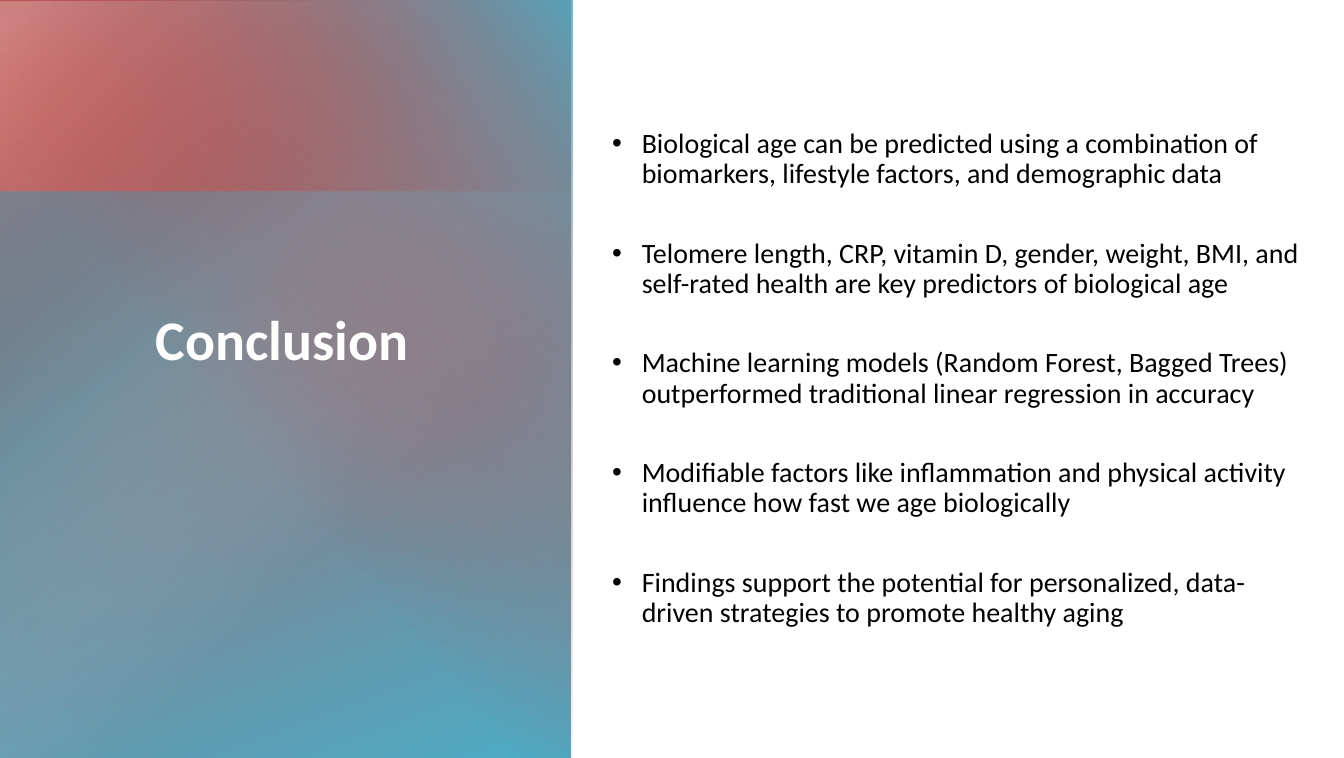
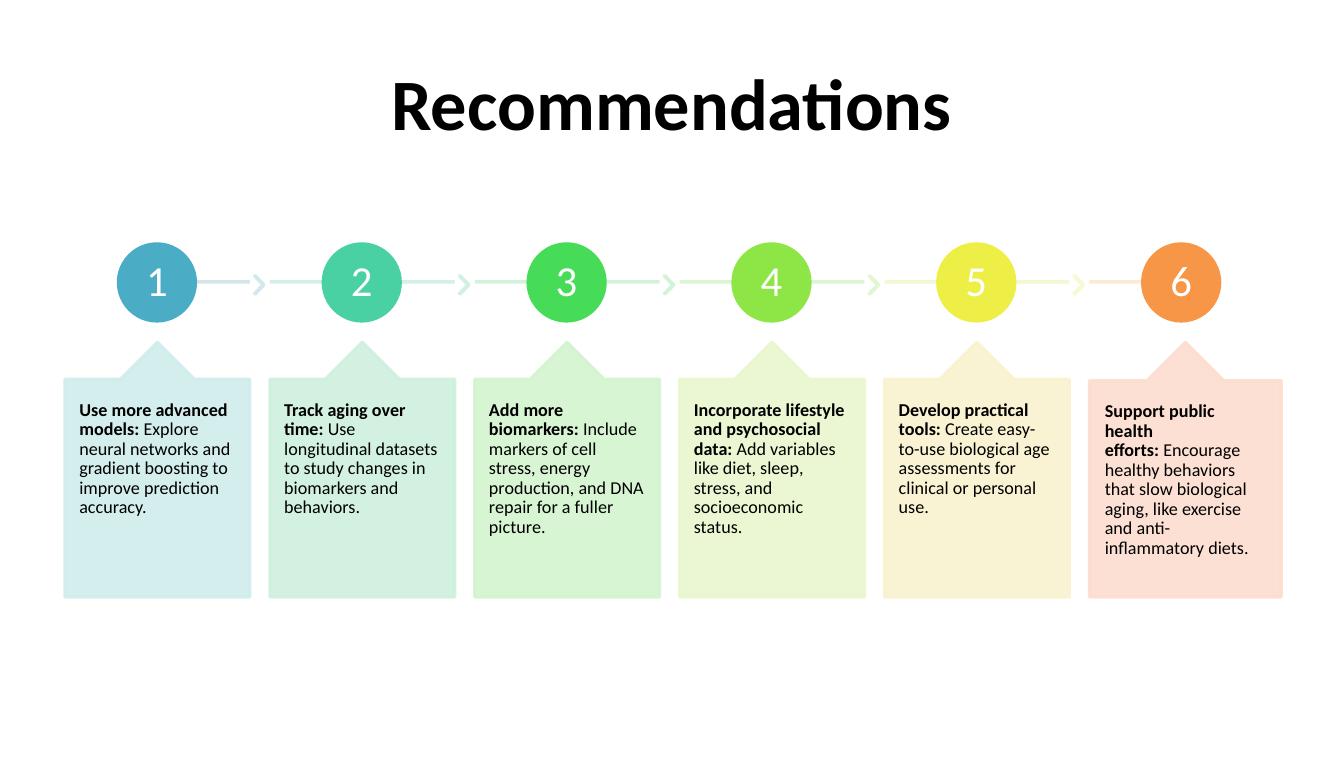
from collections import namedtuple
from dataclasses import dataclass

from lxml.etree import SubElement
from pptx import Presentation
from pptx.dml.color import RGBColor
from pptx.enum.shapes import MSO_CONNECTOR, MSO_SHAPE
from pptx.enum.text import MSO_ANCHOR, MSO_AUTO_SIZE, PP_ALIGN
from pptx.oxml import parse_xml
from pptx.oxml.ns import nsdecls, qn
from pptx.util import Emu, Pt

PX = 9144
NBSP = chr(160)

Box = namedtuple("Box", "left top width height")
Layer = namedtuple("Layer", "box rotation stops direction")
Step = namedtuple("Step", "heading detail circle link chevron card")


@dataclass(frozen=True)
class Theme:
    """Colours and type sizes shared by the slides."""
    font: str = "Calibri"
    ink: str = "000000"
    paper: str = "FFFFFF"
    side_title: int = 34
    top_title: int = 44
    bullet: int = 17
    number: int = 26
    card: int = 11
    stroke: int = 2
    pale: int = 90
    leading: float = 0.9


THEME = Theme()
PAGE = Box(0, 0, 1135, 640)

LAYERS = [
    Layer(Box(-2, 0, 484, 643), 0,
          [(7, "C0504D", 100), (100, "4BACC6", 100)], 70),
    Layer(Box(-2, 162, 484, 480), 180,
          [(0, "31859C", 100), (60, "93CDDD", 0)], None),
    Layer(Box(-2, 1, 357, 642), 0,
          [(3, "D99694", 78), (42, "C0504D", 0)], 50),
    Layer(Box(-80, 79, 642, 484), 270,
          [(0, "4BACC6", 86), (57, "C0504D", 0)], 230),
]

CONCLUSIONS = [
    "Biological age can be predicted using a combination of biomarkers, "
    "lifestyle factors, and demographic data",
    "Telomere length, CRP, vitamin D, gender, weight, BMI, and self-rated "
    "health are key predictors of biological age",
    "Machine learning models (Random Forest, Bagged Trees) outperformed "
    "traditional linear regression in accuracy",
    "Modifiable factors like inflammation and physical activity influence "
    "how fast we age biologically",
    "Findings support the potential for personalized, data-driven strategies "
    "to promote healthy aging",
]

STEPS = [
    Step("Use more advanced models:",
         "Explore neural networks and gradient boosting to improve "
         "prediction accuracy.",
         "4BACC6", "D0E3EA", "CFE8EC", "CFEDEB"),
    Step("Track aging over time:",
         "Use longitudinal datasets to study changes in biomarkers and "
         "behaviors.",
         "49D1A3", "CFEEE7", "CFEFE2", "CFF0DD"),
    Step("Add more biomarkers:",
         "Include markers of cell stress, energy production, and DNA repair "
         "for a fuller picture.",
         "47DC57", "CFF1D7", "CFF3D1", "D3F4CE"),
    Step("Incorporate lifestyle and psychosocial data:",
         "Add variables like diet, sleep, stress, and socioeconomic status.",
         "8DE646", "D9F5CE", "E1F6CE", "E8F7CE"),
    Step("Develop practical tools:",
         "Create easy-to-use biological age assessments for clinical or "
         "personal use.",
         "EEEF46", "F0F8CE", "F8F8CF", "F9F2CF"),
    Step("Support public health efforts:",
         "Encourage healthy behaviors that slow biological aging, like "
         "exercise and anti-inflammatory diets.",
         "F79646", "FAEBCF", None, "FCDDCF"),
]


def px(length):
    """Turn pixels into EMU."""
    return Emu(round(length * PX))


def emu_box(box):
    """Turn a pixel box into EMU lengths."""
    return [px(length) for length in box]


def paint(fill, color, alpha=100):
    """Give a fill a solid colour with optional transparency."""
    fill.solid()
    fill.fore_color.rgb = RGBColor.from_string(color)
    if alpha < 100:
        rgb = fill._xPr.find(qn("a:solidFill")).find(qn("a:srgbClr"))
        SubElement(rgb, qn("a:alpha"), val=str(alpha * 1000))


def paint_gradient(shape, stops, direction):
    """Fill a shape with a linear gradient, or a radial one without direction."""
    marks = "".join(
        f'<a:gs pos="{pos * 1000}"><a:srgbClr val="{color}">'
        f'<a:alpha val="{alpha * 1000}"/></a:srgbClr></a:gs>'
        for pos, color, alpha in stops)
    if direction is None:
        course = ('<a:path path="circle">'
                  '<a:fillToRect r="100000" b="100000"/></a:path>')
    else:
        course = f'<a:lin ang="{direction * 60000}" scaled="0"/>'
    shape.fill.background()
    properties = shape._element.spPr
    properties.replace(
        properties.find(qn("a:noFill")),
        parse_xml(f'<a:gradFill {nsdecls("a")} rotWithShape="1">'
                  f'<a:gsLst>{marks}</a:gsLst>{course}</a:gradFill>'))


def style(paragraph, size, color=THEME.ink, bold=None, align=PP_ALIGN.LEFT):
    """Set the font, leading and alignment of a paragraph."""
    paragraph.alignment = align
    paragraph.line_spacing = THEME.leading
    paragraph.font.name = THEME.font
    paragraph.font.size = Pt(size)
    paragraph.font.bold = bold
    paragraph.font.color.rgb = RGBColor.from_string(color)


def place(placeholder, box, anchor):
    """Move a placeholder to a box and return its text frame."""
    (placeholder.left, placeholder.top,
     placeholder.width, placeholder.height) = emu_box(box)
    frame = placeholder.text_frame
    frame.auto_size = MSO_AUTO_SIZE.NONE
    frame.word_wrap = True
    frame.vertical_anchor = anchor
    return frame


def add_title(slide, text, box, anchor, size, color, align):
    """Write the slide title in its placeholder."""
    frame = place(slide.shapes.title, box, anchor)
    frame.text = text
    style(frame.paragraphs[0], size, color, True, align)


def add_preset(slide, preset, box, color, alpha=100):
    """Add a preset shape whose fill and outline share one colour."""
    shape = slide.shapes.add_shape(preset, *emu_box(box))
    shape.shadow.inherit = False
    paint(shape.fill, color, alpha)
    paint(shape.line.fill, color, alpha)
    shape.line.width = Pt(THEME.stroke)
    return shape


def inset(frame, across, down):
    """Set the margins of a text frame."""
    frame.word_wrap = True
    frame.margin_left = frame.margin_right = px(across)
    frame.margin_top = frame.margin_bottom = px(down)


def add_panel(slide):
    """Stack the gradient layers behind the title."""
    panel = slide.shapes.add_group_shape()
    for layer in LAYERS:
        sheet = panel.shapes.add_shape(MSO_SHAPE.RECTANGLE, *emu_box(layer.box))
        sheet.shadow.inherit = False
        sheet.line.fill.background()
        sheet.rotation = layer.rotation
        paint_gradient(sheet, layer.stops, layer.direction)
    slide.shapes._spTree.insert(2, panel._element)


def add_bullets(slide, box, items):
    """Write the bulleted list in the body placeholder."""
    frame = place(slide.placeholders[1], box, MSO_ANCHOR.MIDDLE)
    for index, item in enumerate(items):
        paragraph = frame.add_paragraph() if index else frame.paragraphs[0]
        paragraph.text = item
        properties = paragraph._p.get_or_add_pPr()
        properties.set("marL", str(px(31)))
        properties.set("indent", str(px(-25)))
        SubElement(properties, qn("a:buChar"), char="•")
        style(paragraph, THEME.bullet)
        paragraph.space_before = Pt(30 if index else 0)


def add_link(slide, left, right, middle, color):
    """Draw the pale line that runs behind a circle."""
    link = slide.shapes.add_connector(
        MSO_CONNECTOR.STRAIGHT, px(left), px(middle), px(right), px(middle))
    paint(link.line.fill, color, THEME.pale)
    link.line.width = Pt(THEME.stroke)
    SubElement(link._element.spPr, qn("a:effectLst"))


def add_circle(slide, box, number, color):
    """Draw a numbered circle."""
    circle = add_preset(slide, MSO_SHAPE.OVAL, box, color)
    frame = circle.text_frame
    inset(frame, 3, 3)
    frame.vertical_anchor = MSO_ANCHOR.MIDDLE
    frame.text = str(number)
    style(frame.paragraphs[0], THEME.number, THEME.paper, align=PP_ALIGN.CENTER)


def add_card(slide, box, step):
    """Draw a callout card with a bold heading and its detail."""
    card = add_preset(slide, MSO_SHAPE.UP_ARROW_CALLOUT, box, step.card, THEME.pale)
    for index, share in enumerate((0.5, 0.2, 0.2, 1)):
        card.adjustments[index] = share
    frame = card.text_frame
    inset(frame, round(box.width * 0.08), 18)
    frame.vertical_anchor = MSO_ANCHOR.TOP
    paragraph = frame.paragraphs[0]
    style(paragraph, THEME.card)
    paragraph.add_run().text = step.heading
    paragraph.add_run().text = NBSP + step.detail
    paragraph.runs[0].font.bold = True


def add_step(slide, box, number, step):
    """Place the link, chevron, circle and card of one step."""
    left, top, width, height = box
    first, last = number == 1, number == len(STEPS)
    middle = top + 32
    add_link(slide, left + (86 if first else 0),
             left + (78 if last else 156), middle, step.link)
    if not last:
        chevron = add_preset(slide, MSO_SHAPE.CHEVRON,
                             Box(left + 160, middle - 5, 8, 15),
                             step.chevron, THEME.pale)
        chevron.adjustments[0] = 0.9
    add_circle(slide, Box(left + 45, top, 65, 65), number, step.circle)
    add_card(slide, Box(left, top + 83, width, height - 83), step)


def add_steps(slide, box):
    """Set the steps side by side at an equal pitch."""
    pitch = 173
    for index, step in enumerate(STEPS):
        width = 162 if index == len(STEPS) - 1 else 156
        add_step(slide, Box(box.left + index * pitch, box.top, width, box.height),
                 index + 1, step)


def build_conclusion(deck):
    """Build the slide with the gradient panel and the list."""
    slide = deck.slides.add_slide(deck.slide_layouts[1])
    add_title(slide, "Conclusion", Box(57, 253, 298, 67), MSO_ANCHOR.BOTTOM,
              THEME.side_title, THEME.paper, PP_ALIGN.RIGHT)
    add_bullets(slide, Box(501, 61, 610, 518), CONCLUSIONS)
    add_panel(slide)


def build_recommendations(deck):
    """Build the slide with the row of numbered steps."""
    slide = deck.slides.add_slide(deck.slide_layouts[5])
    add_title(slide, "Recommendations", Box(78, 43, 979, 94), MSO_ANCHOR.MIDDLE,
              THEME.top_title, THEME.ink, PP_ALIGN.CENTER)
    add_steps(slide, Box(55, 206, 1027, 298))


def main():
    """Build and save the deck."""
    deck = Presentation()
    deck.slide_width, deck.slide_height = px(PAGE.width), px(PAGE.height)
    build_conclusion(deck)
    build_recommendations(deck)
    deck.save("out.pptx")


if __name__ == "__main__":
    main()
